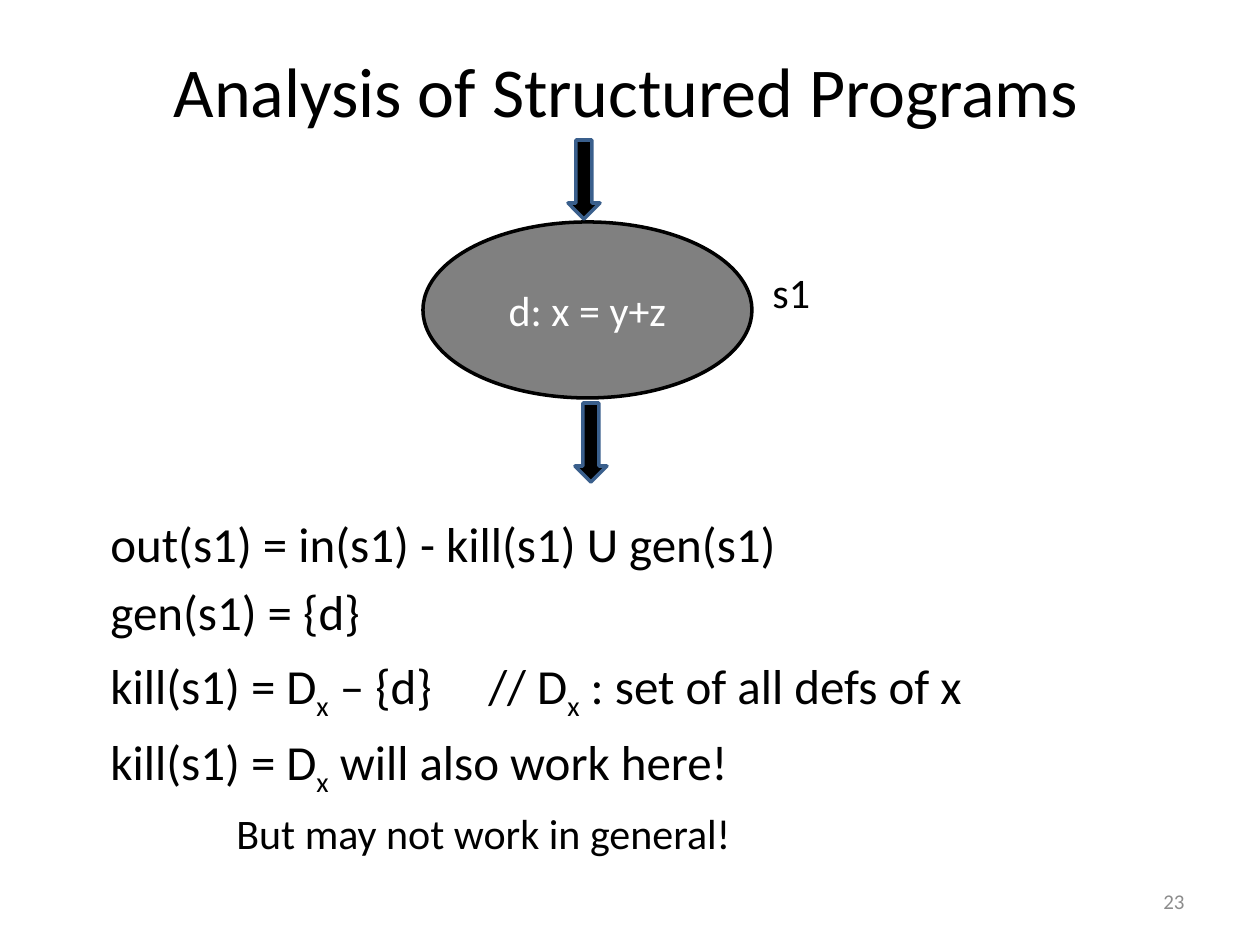
"""Build the slide on data-flow analysis of structured programs."""
from dataclasses import dataclass

from lxml.etree import SubElement
from pptx import Presentation
from pptx.dml.color import RGBColor
from pptx.enum.shapes import MSO_SHAPE
from pptx.enum.text import MSO_ANCHOR, PP_ALIGN
from pptx.oxml.ns import qn
from pptx.shapes.autoshape import Shape
from pptx.slide import Slide
from pptx.text.text import _Paragraph as Paragraph
from pptx.util import Emu, Pt


@dataclass(frozen=True)
class Theme:
    font: str = "Calibri"
    ink: str = "000000"
    white: str = "FFFFFF"
    node: str = "808080"
    arrow_edge: str = "3A5F8C"
    muted: str = "8C8C8C"
    title: int = 40
    gap: int = 32
    body: int = 28
    label: int = 24
    number: int = 12
    line: int = 2
    spacing: int = 5


@dataclass(frozen=True)
class Bounds:
    left: int
    top: int
    width: int
    height: int


@dataclass(frozen=True)
class Label:
    text: str
    bounds: Bounds
    size: int
    color: str = "000000"
    align: PP_ALIGN = PP_ALIGN.LEFT
    anchor: MSO_ANCHOR = MSO_ANCHOR.MIDDLE


@dataclass(frozen=True)
class Figure:
    kind: MSO_SHAPE
    bounds: Bounds
    fill: str
    edge: str
    text: str = ""


@dataclass(frozen=True)
class Span:
    text: str
    subscript: bool = False


@dataclass(frozen=True)
class Equation:
    spans: tuple[Span, ...]
    size: int
    indent: int = 0


THEME = Theme()
PIXELS_PER_INCH = 126
COMMENT_TAB = 373
SUB_X = Span("x", True)

LABELS = (
    Label("Analysis of Structured Programs", Bounds(45, 32, 1162, 115),
          THEME.title, align=PP_ALIGN.CENTER),
    Label("23", Bounds(903, 876, 294, 50), THEME.number, THEME.muted, PP_ALIGN.RIGHT),
    Label("s1", Bounds(760, 260, 98, 63), THEME.label, anchor=MSO_ANCHOR.TOP),
)
FIGURES = (
    Figure(MSO_SHAPE.OVAL, Bounds(423, 222, 329, 176), THEME.node, THEME.ink, "d: x = y+z"),
    Figure(MSO_SHAPE.DOWN_ARROW, Bounds(575, 403, 32, 79), THEME.ink, THEME.arrow_edge),
    Figure(MSO_SHAPE.DOWN_ARROW, Bounds(568, 140, 32, 79), THEME.ink, THEME.arrow_edge),
)
BODY = Bounds(98, 513, 1071, 345)
EQUATIONS = (
    Equation((Span("out(s1) = in(s1) - kill(s1) U gen(s1)"),), THEME.body),
    Equation((Span("gen(s1) = {d}"),), THEME.body),
    Equation((Span("kill(s1) = D"), SUB_X, Span(" – {d}"), Span("\t"), Span("// D"),
              SUB_X, Span(" : set of all defs of x")), THEME.body),
    Equation((Span("kill(s1) = D"), SUB_X, Span(" will also work here!")), THEME.body),
    Equation((Span("But may not work in general!"),), THEME.label, 126),
)


def px(value: int) -> Emu:
    """Turn pixels into EMU."""
    return Emu(round(value * 914400 / PIXELS_PER_INCH))


def place(bounds: Bounds) -> tuple[Emu, Emu, Emu, Emu]:
    """Give the four lengths of a box in EMU."""
    return px(bounds.left), px(bounds.top), px(bounds.width), px(bounds.height)


def style(para: Paragraph, size: int, color: str) -> None:
    """Set font, size and colour on every run."""
    for run in para.runs:
        run.font.name = THEME.font
        run.font.size = Pt(size)
        run.font.color.rgb = RGBColor.from_string(color)


def add_box(slide: Slide, bounds: Bounds, anchor: MSO_ANCHOR) -> Shape:
    """Add a wrapping text box."""
    box = slide.shapes.add_textbox(*place(bounds))
    box.text_frame.word_wrap = True
    box.text_frame.vertical_anchor = anchor
    return box


def draw_label(slide: Slide, label: Label) -> None:
    """Draw a single line of text."""
    para = add_box(slide, label.bounds, label.anchor).text_frame.paragraphs[0]
    para.text = label.text
    para.alignment = label.align
    style(para, label.size, label.color)


def draw_figure(slide: Slide, figure: Figure) -> None:
    """Draw a filled shape with its optional text."""
    shape = slide.shapes.add_shape(figure.kind, *place(figure.bounds))
    shape.shadow.inherit = False
    shape.fill.solid()
    shape.fill.fore_color.rgb = RGBColor.from_string(figure.fill)
    shape.line.color.rgb = RGBColor.from_string(figure.edge)
    shape.line.width = Pt(THEME.line)
    if figure.text:
        shape.text_frame.text = figure.text
        shape.text_frame.vertical_anchor = MSO_ANCHOR.MIDDLE
        para = shape.text_frame.paragraphs[0]
        para.alignment = PP_ALIGN.CENTER
        style(para, THEME.label, THEME.white)


def write_equation(para: Paragraph, equation: Equation) -> None:
    """Write one equation with its subscripts and tab stop."""
    para.space_before = Pt(THEME.spacing)
    properties = para._p.get_or_add_pPr()
    properties.set("marL", str(px(equation.indent)))
    properties.set("indent", "0")
    for span in equation.spans:
        para.add_run().text = span.text
    style(para, equation.size, THEME.ink)
    for span, run in zip(equation.spans, para.runs):
        if span.subscript:
            run.font._element.set("baseline", "-25000")
        if span.text == "\t":
            run.font.size = Pt(THEME.gap)
            stops = SubElement(properties, qn("a:tabLst"))
            SubElement(stops, qn("a:tab"), pos=str(px(COMMENT_TAB)), algn="l")


def draw_equations(slide: Slide) -> None:
    """Draw the list of equations."""
    frame = add_box(slide, BODY, MSO_ANCHOR.MIDDLE).text_frame
    for index, equation in enumerate(EQUATIONS):
        para = frame.add_paragraph() if index else frame.paragraphs[0]
        write_equation(para, equation)


def main() -> None:
    """Build and save the deck."""
    deck = Presentation()
    deck.slide_width, deck.slide_height = px(1260), px(945)
    slide = deck.slides.add_slide(deck.slide_layouts[6])
    draw_equations(slide)
    for figure in FIGURES:
        draw_figure(slide, figure)
    for label in LABELS:
        draw_label(slide, label)
    deck.save("out.pptx")


if __name__ == "__main__":
    main()
